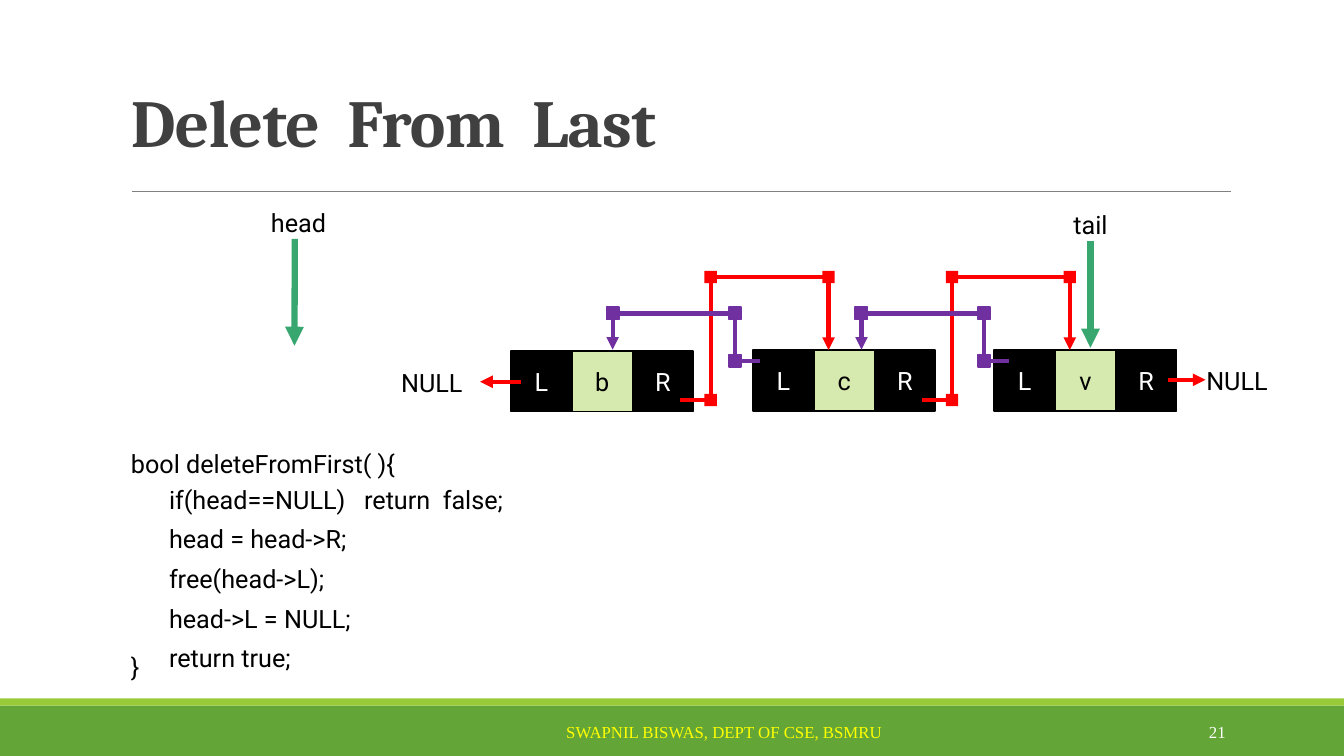
from dataclasses import dataclass
from itertools import pairwise

from lxml import etree
from pptx import Presentation
from pptx.dml.color import RGBColor
from pptx.enum.shapes import MSO_CONNECTOR, MSO_SHAPE
from pptx.enum.text import MSO_ANCHOR, PP_ALIGN
from pptx.oxml.ns import qn
from pptx.util import Cm, Pt

RECT = MSO_SHAPE.RECTANGLE
STRAIGHT = MSO_CONNECTOR.STRAIGHT
TOP, MIDDLE, BOTTOM = MSO_ANCHOR.TOP, MSO_ANCHOR.MIDDLE, MSO_ANCHOR.BOTTOM
LEFT, CENTER, RIGHT = PP_ALIGN.LEFT, PP_ALIGN.CENTER, PP_ALIGN.RIGHT

HUES = {
    "black": "000000",
    "white": "FFFFFF",
    "title": "404040",
    "rule": "808080",
    "footer": "63A537",
    "strip": "99CB38",
    "yellow": "FFFF00",
    "data": "D6EAAF",
    "green": "37A76F",
    "red": "FF0000",
    "purple": "7030A0",
}
CELL = 1.53
DOT = 0.31
ROW = 1.02


@dataclass
class Node:
    x: float
    y: float
    value: str


@dataclass
class Route:
    points: list[tuple[float, float]]
    hue: str
    edge: str | None = None


@dataclass
class Arrow:
    start: tuple[float, float]
    end: tuple[float, float]
    hue: str
    width: float


@dataclass
class Label:
    text: str
    x: float
    y: float
    w: float


NODES = [Node(12.88, 8.84, "b"), Node(18.98, 8.82, "c"), Node(25.06, 8.82, "v")]

NEXT = [(17.15, 10.08), (17.91, 10.08), (17.91, 6.98), (20.88, 6.98), (20.88, 8.82)]
PRIOR = [(19.15, 9.09), (18.53, 9.09), (18.53, 7.9), (15.44, 7.9), (15.44, 8.81)]


def shift(points: list[tuple[float, float]], dx: float) -> list[tuple[float, float]]:
    return [(x + dx, y) for x, y in points]


ROUTES = [
    Route(NEXT, "red"),
    Route(shift(NEXT, 6.08), "red"),
    Route(shift(PRIOR, 6.27), "purple", "purple"),
    Route(PRIOR, "purple", "purple"),
]

ARROWS = [
    Arrow((27.48, 6.07), (27.48, 8.76), "green", 4.5),
    Arrow((7.43, 6.02), (7.42, 8.71), "green", 4.5),
    Arrow((29.44, 9.57), (30.38, 9.57), "red", 3),
    Arrow((13.13, 9.62), (12.1, 9.62), "red", 3),
]

LABELS = [
    Label("tail", 26.8, 5.16, 1.73),
    Label("head", 6.58, 5.1, 2.03),
    Label("NULL", 30.15, 9.07, 2.39),
    Label("NULL", 9.86, 9.14, 2.39),
    Label("bool deleteFromFirst( ){", 3.05, 11.18, 15.21),
    Label("}", 3.05, 16.28, 1.93),
]

BODY = [
    "if(head==NULL)   return  false;",
    "head = head->R;",
    "free(head->L);",
    "head->L = NULL;",
    "return true;",
]


def paint(name: str) -> RGBColor:
    return RGBColor.from_string(HUES[name])


def write(shape, text: str, *, size: float = 18, font: str = "Roboto",
          hue: str = "black", bold: bool = False, align=LEFT, anchor=TOP,
          wrap: bool = True, pad: bool = True, space: float = 1,
          track: int = 0) -> None:
    frame = shape.text_frame
    frame.word_wrap = wrap
    frame.vertical_anchor = anchor
    if not pad:
        frame.margin_left = frame.margin_right = Cm(0)
        frame.margin_top = frame.margin_bottom = Cm(0)
    para = frame.paragraphs[0]
    para.alignment = align
    para.line_spacing = space
    run = para.add_run()
    run.text = text
    run.font.size = Pt(size)
    run.font.name = font
    run.font.bold = bold
    run.font.color.rgb = paint(hue)
    if track:
        run._r.get_or_add_rPr().set("spc", str(track))


def add_text(slide, text: str, x: float, y: float, w: float, h: float = ROW,
             **style) -> None:
    box = slide.shapes.add_textbox(Cm(x), Cm(y), Cm(w), Cm(h))
    write(box, text, **style)


def add_rect(slide, x: float, y: float, w: float, h: float, hue: str,
             edge: str | None = None):
    rect = slide.shapes.add_shape(RECT, Cm(x), Cm(y), Cm(w), Cm(h))
    rect.shadow.inherit = False
    rect.fill.solid()
    rect.fill.fore_color.rgb = paint(hue)
    if edge:
        rect.line.color.rgb = paint(edge)
        rect.line.width = Pt(1.25)
    else:
        rect.line.fill.background()
    return rect


def add_line(slide, start: tuple[float, float], end: tuple[float, float],
             hue: str, width: float, tip: bool = False) -> None:
    line = slide.shapes.add_connector(
        STRAIGHT, Cm(start[0]), Cm(start[1]), Cm(end[0]), Cm(end[1]))
    line.line.color.rgb = paint(hue)
    line.line.width = Pt(width)
    if tip:
        etree.SubElement(line.get_or_add_ln(), qn("a:tailEnd"), type="triangle")
    etree.SubElement(line.element.spPr, qn("a:effectLst"))


def add_node(slide, node: Node) -> None:
    cells = [("L", "black", "white"), (node.value, "data", "black"),
             ("R", "black", "white")]
    for i, (text, fill, ink) in enumerate(cells):
        cell = add_rect(slide, node.x + i * CELL, node.y, CELL, CELL, fill, "black")
        write(cell, text, hue=ink, align=CENTER, anchor=MIDDLE, pad=False)


def add_route(slide, route: Route) -> None:
    for start, end in pairwise(route.points):
        add_line(slide, start, end, route.hue, 3, tip=end == route.points[-1])
    for x, y in route.points[1:-1]:
        add_rect(slide, x - DOT / 2, y - DOT / 2, DOT, DOT, route.hue, route.edge)


def main() -> None:
    deck = Presentation()
    deck.slide_width, deck.slide_height = Cm(33.87), Cm(19.05)
    slide = deck.slides.add_slide(deck.slide_layouts[6])

    add_rect(slide, 0, 17.78, 33.87, 1.27, "footer")
    add_rect(slide, 0, 17.6, 33.87, 0.18, "strip")
    add_line(slide, (3.33, 4.83), (31.01, 4.83), "rule", 0.5)
    add_text(slide, "SWAPNIL BISWAS, DEPT OF CSE, BSMRU", 14.02, 18.06, 8.53, 0.76,
             size=12, font="Times New Roman", hue="yellow", wrap=False)
    add_text(slide, "21", 27.51, 17.93, 3.63, size=12, font="Times New Roman",
             hue="white", align=RIGHT, anchor=MIDDLE)
    add_text(slide, "Delete  From  Last", 3.05, 0.15, 27.94, 4.04, size=48,
             font="Cambria", hue="title", bold=True, anchor=BOTTOM, space=0.85,
             track=-50)

    for node in NODES:
        add_node(slide, node)
    for route in ROUTES:
        add_route(slide, route)
    for arrow in ARROWS:
        add_line(slide, arrow.start, arrow.end, arrow.hue, arrow.width, tip=True)
    for label in LABELS:
        add_text(slide, label.text, label.x, label.y, label.w)
    for i, text in enumerate(BODY):
        add_text(slide, text, 4.01, 12.07 + i, 9.53)

    deck.save("out.pptx")


if __name__ == "__main__":
    main()
